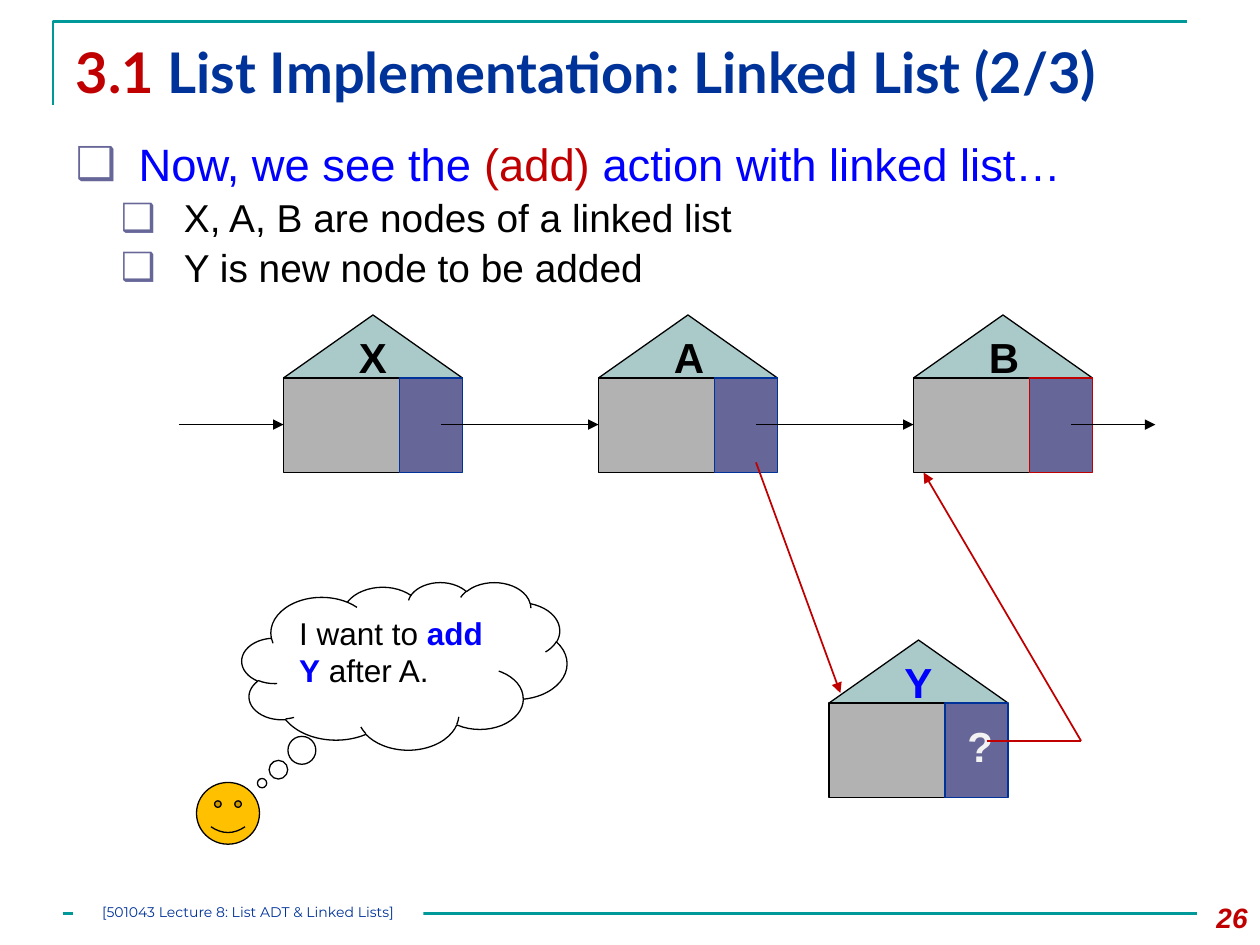
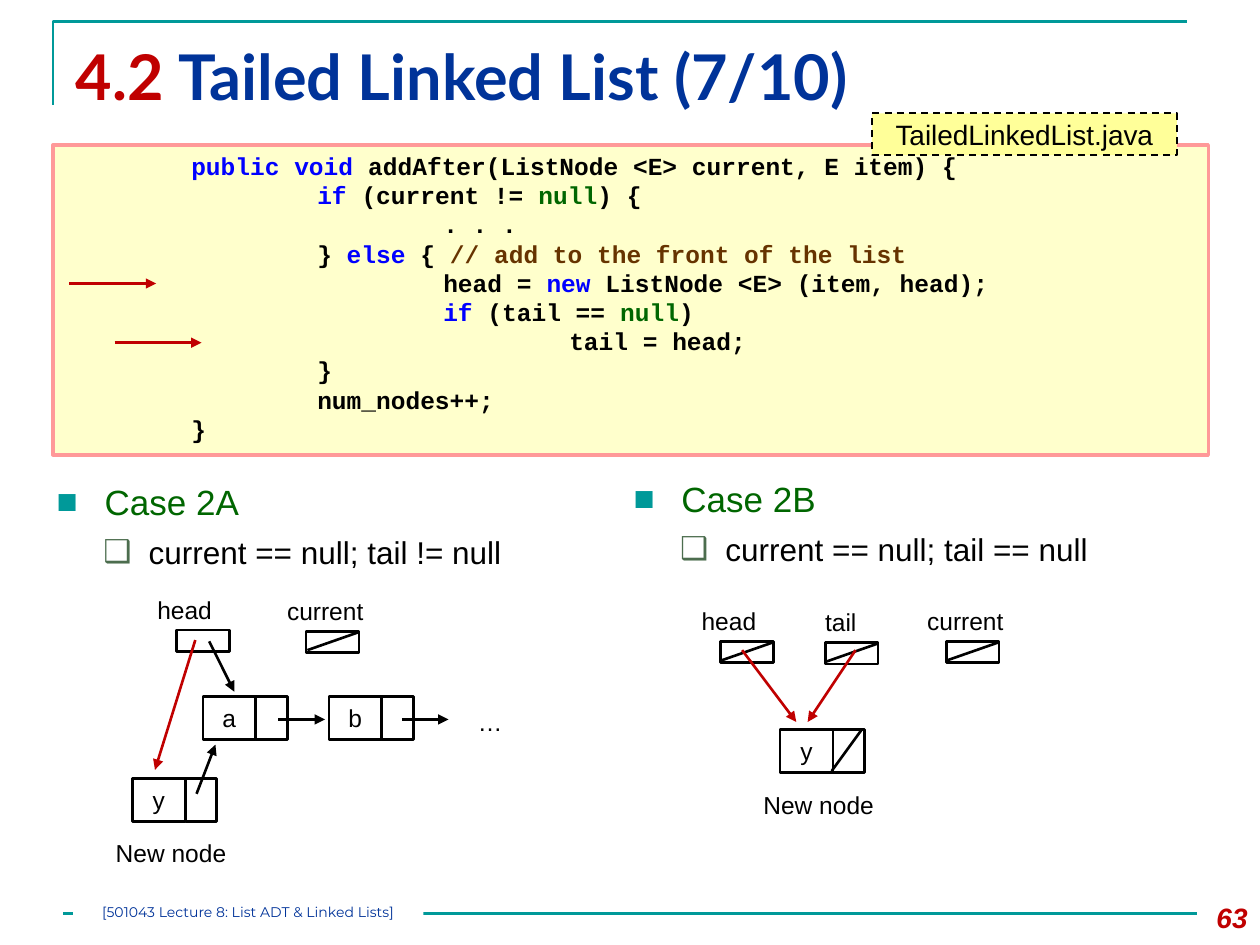
"""Build two lecture slides on adding nodes to linked lists."""
from lxml import etree
from pptx import Presentation
from pptx.dml.color import RGBColor
from pptx.enum.dml import MSO_LINE
from pptx.enum.shapes import MSO_CONNECTOR, MSO_SHAPE
from pptx.enum.text import MSO_ANCHOR, MSO_AUTO_SIZE, PP_ALIGN
from pptx.oxml.ns import qn
from pptx.util import Inches, Pt

RECT = MSO_SHAPE.RECTANGLE
PROCESS = MSO_SHAPE.FLOWCHART_PROCESS
ROOF = MSO_SHAPE.FLOWCHART_EXTRACT
SMILEY = MSO_SHAPE.SMILEY_FACE
CLOUD = MSO_SHAPE.CLOUD_CALLOUT
STRAIGHT = MSO_CONNECTOR.STRAIGHT
DASH = MSO_LINE.DASH
TOP, MIDDLE = MSO_ANCHOR.TOP, MSO_ANCHOR.MIDDLE
LEFT, CENTER, RIGHT = PP_ALIGN.LEFT, PP_ALIGN.CENTER, PP_ALIGN.RIGHT
NO_FIT = MSO_AUTO_SIZE.NONE

BLACK, WHITE, RED = "000000", "FFFFFF", "C00000"
NAVY, BLUE, GREEN, BROWN = "003399", "0000FF", "006600", "663300"
TEAL, PURPLE, SAGE = "009999", "666699", "4C6D4E"
FOOTER = "[501043 Lecture 8: List ADT & Linked Lists]"

CODE = [
    [("\t", BLACK), ("public void ", BLUE),
     ("addAfter(ListNode <E> current, E item) {", BLACK)],
    [("\t\t", BLACK), ("if ", BLUE), ("(current != ", BLACK),
     ("null", GREEN), (") {", BLACK)],
    [("\t\t\t. . .", BLACK)],
    [("\t\t} ", BLACK), ("else", BLUE), (" { ", BLACK),
     ("// add to the front of the list", BROWN)],
    [("\t\t\thead = ", BLACK), ("new", BLUE),
     (" ListNode <E> (item, head);", BLACK)],
    [("\t\t\t", BLACK), ("if", BLUE), (" (tail == ", BLACK),
     ("null", GREEN), (")", BLACK)],
    [("\t\t\t\ttail = head;", BLACK)],
    [("\t\t}", BLACK)],
    [("\t\tnum_nodes++;", BLACK)],
    [("\t}", BLACK)],
]


def rgb(code):
    """Turn a hex string into a colour."""
    return RGBColor.from_string(code)


def write(paragraph, parts, size, font="Arial", bold=False, italic=False, align=LEFT):
    """Fill a paragraph with (text, colour[, bold]) parts."""
    paragraph.alignment = align
    for text, color, *heavy in parts:
        run = paragraph.add_run()
        run.text = text
        run.font.size = Pt(size)
        run.font.name = font
        run.font.bold = heavy[0] if heavy else bold
        run.font.italic = italic
        run.font.color.rgb = rgb(color)


def place(shape, left, top, width, height):
    """Move and size a shape in inches."""
    shape.left, shape.top = Inches(left), Inches(top)
    shape.width, shape.height = Inches(width), Inches(height)


def prepare(shape, anchor=TOP):
    """Give a text frame wrapping, a fixed size and an anchor."""
    frame = shape.text_frame
    frame.word_wrap = True
    frame.auto_size = NO_FIT
    frame.vertical_anchor = anchor
    return frame


def label(slide, box, text, size, color=BLACK, **style):
    """Add a one-line text box."""
    frame = prepare(slide.shapes.add_textbox(*map(Inches, box)))
    write(frame.paragraphs[0], [(text, color)], size, **style)


def outline(shape, color, weight):
    """Set the outline of a shape, or remove it, and drop its shadow."""
    shape.shadow.inherit = False
    if color:
        shape.line.color.rgb = rgb(color)
        shape.line.width = Pt(weight)
    else:
        shape.line.fill.background()


def block(slide, kind, box, fill=None, line=BLACK, weight=0.75):
    """Add a preset shape."""
    shape = slide.shapes.add_shape(kind, *map(Inches, box))
    if fill:
        shape.fill.solid()
        shape.fill.fore_color.rgb = rgb(fill)
    else:
        shape.fill.background()
    outline(shape, line, weight)
    return shape


def stroke(slide, start, end, color=BLACK, weight=1.5, arrow=True):
    """Add a straight line, with an arrowhead if wanted."""
    connector = slide.shapes.add_connector(STRAIGHT, *map(Inches, start + end))
    connector.line.color.rgb = rgb(color)
    connector.line.width = Pt(weight)
    properties = connector._element.spPr
    if arrow:
        etree.SubElement(properties.find(qn("a:ln")), qn("a:tailEnd"), type="triangle")
    etree.SubElement(properties, qn("a:effectLst"))


def bullet(paragraph, mark, color, margin, hang):
    """Give a paragraph a coloured bullet with a hanging indent."""
    properties = paragraph._p.get_or_add_pPr()
    properties.set("marL", str(Inches(margin)))
    properties.set("indent", str(-Inches(hang)))
    tint = etree.SubElement(properties, qn("a:buClr"))
    etree.SubElement(tint, qn("a:srgbClr"), val=color)
    etree.SubElement(properties, qn("a:buFont"), typeface="Arial")
    etree.SubElement(properties, qn("a:buChar"), char=mark)


def set_tabs(paragraph, count):
    """Give a paragraph left tab stops one inch apart."""
    stops = etree.SubElement(paragraph._p.get_or_add_pPr(), qn("a:tabLst"))
    for stop in range(1, count + 1):
        etree.SubElement(stops, qn("a:tab"), pos=str(Inches(stop)), algn="l")


def start_slide(deck, number, title, size, page):
    """Add a slide with its frame, footer and numbered title."""
    slide = deck.slides.add_slide(deck.slide_layouts[1])
    path = slide.shapes.build_freeform(Inches(0.42), Inches(0.83))
    path.add_line_segments([(Inches(0.42), Inches(0.17)),
                            (Inches(9.42), Inches(0.17))], close=False)
    corner = path.convert_to_shape()
    corner.fill.background()
    outline(corner, TEAL, 1.5)
    stroke(slide, (0.5, 7.25), (9.5, 7.25), TEAL, arrow=False)

    heading = slide.shapes.title
    place(heading, 0.5, 0.25, 9, 0.86)
    write(prepare(heading).paragraphs[0], [(number, RED), (title, NAVY)],
          size, "Lato", bold=True)
    label(slide, (9.33, 7.1, 0.67, 0.4), page, 16, RED,
          bold=True, italic=True, align=RIGHT)

    plate = block(slide, RECT, (0.58, 7.17, 2.78, 0.2), WHITE, line=None)
    frame = prepare(plate)
    frame.margin_left = frame.margin_right = frame.margin_top = frame.margin_bottom = 0
    write(frame.paragraphs[0], [(FOOTER, NAVY)], 8, "Montserrat", align=CENTER)
    return slide


def house(slide, left, top, name, color=BLACK, door_line=NAVY):
    """Draw a list node as a house with a link compartment."""
    block(slide, ROOF, (left, top, 1.42, 0.5), "AACACA")
    block(slide, PROCESS, (left, top + 0.5, 0.92, 0.75), "B2B2B2")
    block(slide, PROCESS, (left + 0.92, top + 0.5, 0.5, 0.75), PURPLE, door_line)
    label(slide, (left + 0.5, top + 0.08, 0.5, 0.5), name, 24, color, bold=True)


def pointer(slide, left, top, name, null=False, shift=0.25):
    """Draw a named reference cell, crossed out when null."""
    label(slide, (left - shift, top - 0.33, 0.86, 0.34), name, 14)
    block(slide, RECT, (left, top, 0.42, 0.17), WHITE, weight=1.5)
    if null:
        stroke(slide, (left + 0.01, top + 0.15), (left + 0.41, top + 0.01), arrow=False)


def node(slide, left, top, item):
    """Draw a node with an item cell and a link cell."""
    cell = block(slide, RECT, (left, top, 0.42, 0.34), weight=1.5)
    write(prepare(cell, MIDDLE).paragraphs[0], [(item, BLACK)], 14, align=CENTER)
    block(slide, RECT, (left + 0.42, top, 0.25, 0.34), weight=1.5)


def case(shape, name, condition):
    """Write a case heading and its condition."""
    frame = prepare(shape)
    heading, detail = frame.paragraphs[0], frame.add_paragraph()
    heading.space_before = Pt(0)
    bullet(heading, "■", TEAL, 0.38, 0.38)
    write(heading, [(name, GREEN)], 20)
    detail.level = 1
    detail.space_before = Pt(6)
    bullet(detail, "❑", SAGE, 0.73, 0.36)
    write(detail, [(condition, BLACK)], 18)


def add_intro(slide):
    """Fill the list about the add action."""
    body = slide.placeholders[1]
    place(body, 0.5, 1.08, 9, 1.33)
    frame = prepare(body)
    lines = [
        (0, 25.9, [("Now, we see the ", BLUE), ("(add) ", RED),
                   ("action with linked list…", BLUE)]),
        (1, 22.2, [("X, A, B are nodes of a linked list", BLACK)]),
        (1, 22.2, [("Y is new node to be added", BLACK)]),
    ]
    for index, (level, size, parts) in enumerate(lines):
        paragraph = frame.add_paragraph() if index else frame.paragraphs[0]
        paragraph.level = level
        paragraph.line_spacing = 0.9
        paragraph.space_before = Pt(4.4 * level)
        bullet(paragraph, "❑", PURPLE, 0.5 + 0.36 * level, 0.5)
        write(paragraph, parts, size)


def add_wish(slide):
    """Draw the smiling face and its thought."""
    face = block(slide, SMILEY, (1.56, 6.21, 0.5, 0.49), "FFC000")
    face.adjustments[0] = 0.047
    thought = block(slide, CLOUD, (1.92, 4.62, 2.58, 1.33), WHITE)
    thought.adjustments[0] = -0.438
    thought.adjustments[1] = 0.7
    write(prepare(thought).paragraphs[0],
          [("I want to ", BLACK), ("add Y", BLUE, True), (" after A.", BLACK)], 18)


def build_add_slide(deck):
    """Build the slide that adds Y after A."""
    slide = start_slide(deck, "3.1 ", "List Implementation: Linked List (2/3)", 32, "26")
    add_intro(slide)
    for index, (name, door_line) in enumerate([("X", NAVY), ("A", NAVY), ("B", RED)]):
        house(slide, 2.25 + 2.5 * index, 2.5, name, door_line=door_line)
    house(slide, 6.58, 5.08, "Y", BLUE)
    label(slide, (7.58, 5.67, 0.42, 0.5), "?", 24, "F2F2F2", bold=True)
    add_wish(slide)
    for start, end in [(1.42, 2.25), (3.5, 4.75), (6, 7.25), (8.5, 9.17)]:
        stroke(slide, (start, 3.37), (end, 3.37), weight=0.75)
    stroke(slide, (6, 3.67), (6.67, 5.5), RED, 1)
    stroke(slide, (7.83, 5.88), (8.58, 5.88), RED, 1, arrow=False)
    stroke(slide, (8.58, 5.88), (7.33, 3.75), RED, 1)


def add_code(slide):
    """Show the method, its file name and the marked lines."""
    listing = block(slide, RECT, (0.42, 1.15, 9.17, 2.46), "FFFFCC", "FF9999", 2)
    frame = prepare(listing)
    for index, parts in enumerate(CODE):
        paragraph = frame.add_paragraph() if index else frame.paragraphs[0]
        set_tabs(paragraph, 4)
        paragraph.line_spacing = Pt(16.7)
        write(paragraph, parts, 14, "Courier New", bold=True)
    file_tag = block(slide, RECT, (6.92, 0.9, 2.42, 0.33), "FFFF99", weight=1)
    file_tag.line.dash_style = DASH
    write(prepare(file_tag, MIDDLE).paragraphs[0],
          [("TailedLinkedList.java", BLACK)], 16, align=CENTER)
    for left, top in [(0.55, 2.25), (0.91, 2.72)]:
        stroke(slide, (left, top), (left + 0.69, top), RED)


def build_tailed_slide(deck):
    """Build the slide with the two null cases."""
    slide = start_slide(deck, "4.2 ", "Tailed Linked List (7/10)", 36, "63")
    add_code(slide)

    case_a = slide.placeholders[1]
    place(case_a, 0.35, 3.76, 4.4, 1.03)
    case(case_a, "Case 2A", "current == null; tail != null")
    pointer(slide, 1.4, 5, "head")
    pointer(slide, 2.43, 5.01, "current", null=True)
    for left, top, item in [(1.61, 5.53, "a"), (2.61, 5.53, "b"), (1.05, 6.18, "y")]:
        node(slide, left, top, item)
    label(slide, (3.65, 5.56, 0.48, 0.34), "…", 14, align=CENTER)
    label(slide, (0.82, 6.6, 1.11, 0.34), "New node", 14)
    for left in (2.21, 3.19):
        stroke(slide, (left, 5.71), (left + 0.37, 5.71))
    stroke(slide, (1.56, 6.3), (1.71, 5.91))
    stroke(slide, (1.66, 5.09), (1.86, 5.49))
    stroke(slide, (1.55, 5.08), (1.23, 6.11), RED)

    case_b = slide.shapes.add_textbox(*map(Inches, (4.93, 3.74, 4.4, 1.03)))
    case(case_b, "Case 2B", "current == null; tail == null")
    pointer(slide, 5.72, 5.09, "head", null=True)
    pointer(slide, 6.55, 5.1, "tail", null=True, shift=0.1)
    pointer(slide, 7.51, 5.09, "current", null=True)
    node(slide, 6.19, 5.79, "y")
    stroke(slide, (6.6, 6.12), (6.84, 5.79), arrow=False)
    label(slide, (5.96, 6.22, 1.11, 0.34), "New node", 14)
    stroke(slide, (5.89, 5.16), (6.32, 5.73), RED)
    stroke(slide, (6.79, 5.16), (6.41, 5.73), RED)


def main():
    """Build and save the deck."""
    deck = Presentation()
    deck.slide_width, deck.slide_height = Inches(10), Inches(7.5)
    build_add_slide(deck)
    build_tailed_slide(deck)
    deck.save("out.pptx")


if __name__ == "__main__":
    main()
